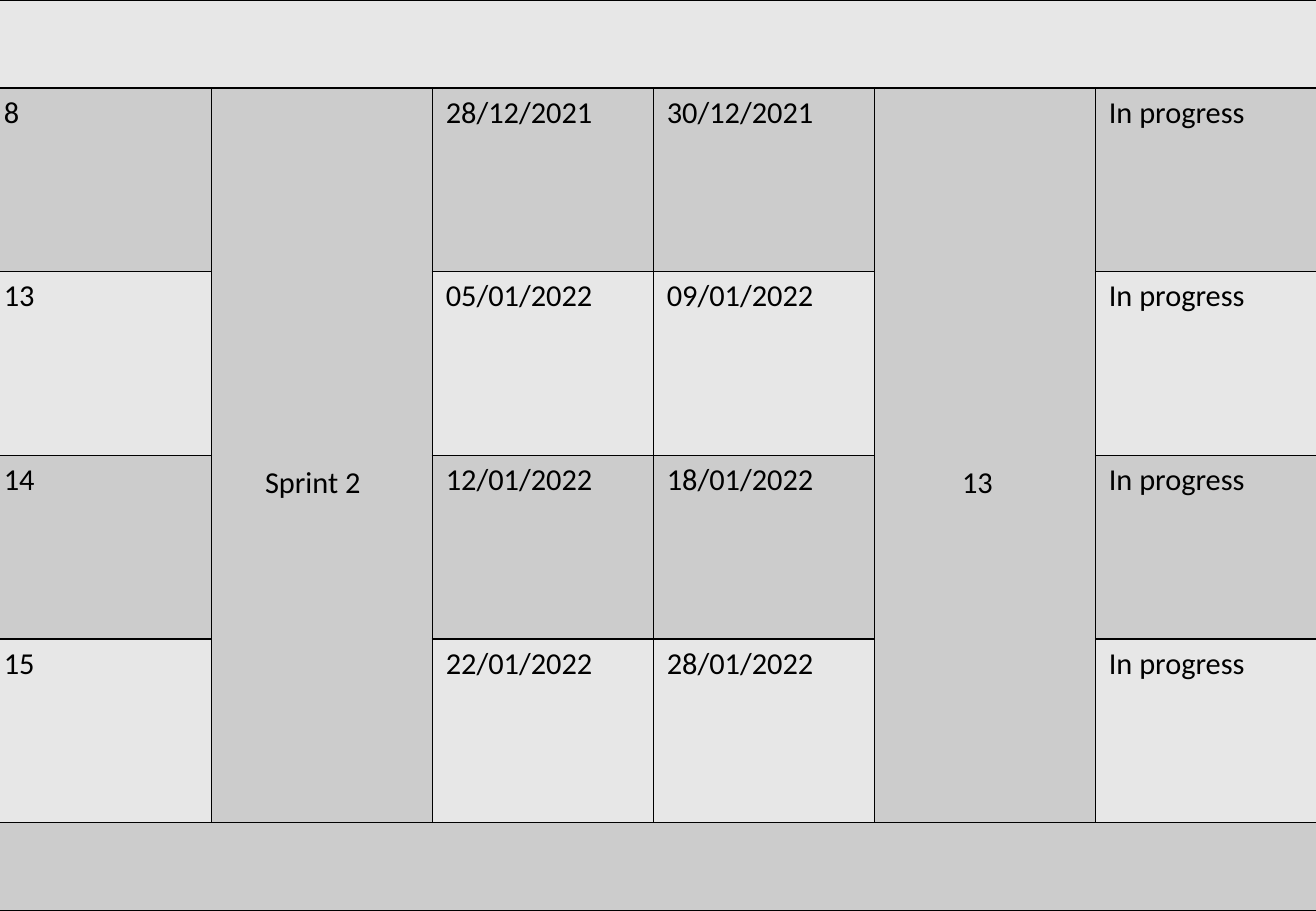
from lxml.etree import SubElement
from pptx import Presentation
from pptx.dml.color import RGBColor
from pptx.enum.text import MSO_ANCHOR
from pptx.oxml.ns import qn
from pptx.util import Cm, Pt

COLORS = {"dark": "CCCCCC", "light": "E7E7E7", "ink": "000000"}
COL_WIDTH = 4.62
ROW_HEIGHTS = [1.84, 3.84, 3.84, 3.84, 3.84, 1.84]
ROWS = [
    [""] * 6,
    ["8", "Sprint 2", "28/12/2021", "30/12/2021", "13", "In progress"],
    ["13", "", "05/01/2022", "09/01/2022", "", "In progress"],
    ["14", "", "12/01/2022", "18/01/2022", "", "In progress"],
    ["15", "", "22/01/2022", "28/01/2022", "", "In progress"],
    [""] * 6,
]
MERGED_COLUMN_INDENTS = {1: 1.12, 4: 1.83}


def add_borders(cell):
    tc_pr = cell._tc.get_or_add_tcPr()
    for side in ("a:lnL", "a:lnR", "a:lnT", "a:lnB"):
        line = SubElement(tc_pr, qn(side), w=str(Pt(1)))
        fill = SubElement(line, qn("a:solidFill"))
        SubElement(fill, qn("a:srgbClr"), val=COLORS["ink"])


prs = Presentation()
prs.slide_width, prs.slide_height = Cm(27.51), Cm(19.05)
s = prs.slides.add_slide(prs.slide_layouts[6])

table = s.shapes.add_table(
    len(ROWS), 6, Cm(-0.2), Cm(0), Cm(6 * COL_WIDTH), Cm(sum(ROW_HEIGHTS))
).table
for column in table.columns:
    column.width = Cm(COL_WIDTH)

for i, texts in enumerate(ROWS):
    table.rows[i].height = Cm(ROW_HEIGHTS[i])
    for j, text in enumerate(texts):
        cell = table.cell(i, j)
        add_borders(cell)
        shade = COLORS["dark" if i % 2 else "light"]
        cell.fill.solid()
        cell.fill.fore_color.rgb = RGBColor.from_string(shade)
        cell.margin_left = cell.margin_right = Cm(0.28)
        cell.margin_top = cell.margin_bottom = Cm(0.13)
        cell.text = text
        font = cell.text_frame.paragraphs[0].font
        font.name = "Calibri"
        font.size = Pt(18)
        font.color.rgb = RGBColor.from_string(COLORS["ink"])

for i in (0, 5):
    table.cell(i, 0).merge(table.cell(i, 5))

# The sprint and its total sit a little below the middle of their merged cells
for j, indent in MERGED_COLUMN_INDENTS.items():
    cell = table.cell(1, j)
    cell.merge(table.cell(4, j))
    cell.vertical_anchor = MSO_ANCHOR.MIDDLE
    cell.margin_left = Cm(indent)
    cell.margin_top = Cm(1.3)

prs.save("out.pptx")
